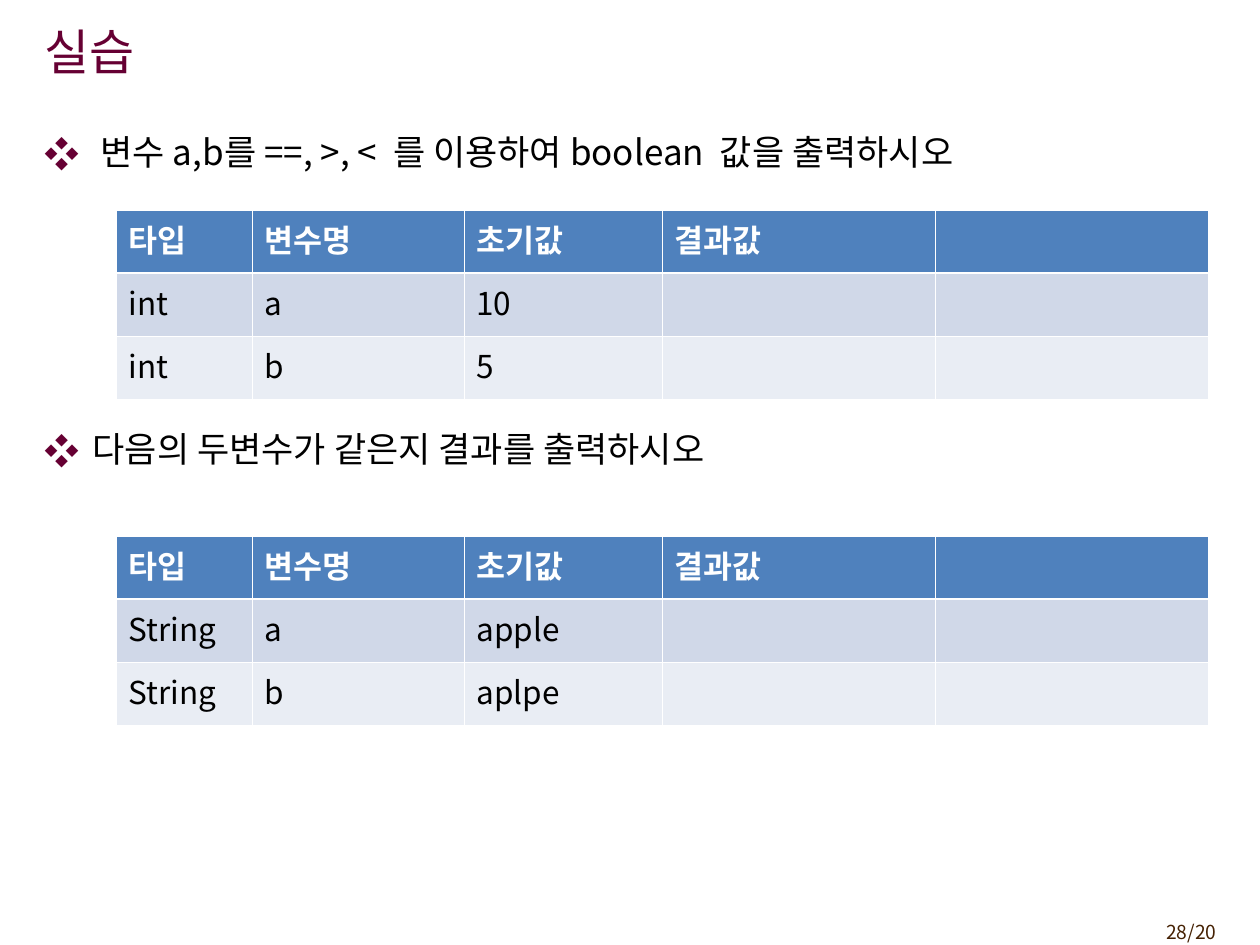
from dataclasses import dataclass

from lxml import etree
from pptx import Presentation
from pptx.dml.color import RGBColor
from pptx.enum.text import MSO_ANCHOR, MSO_AUTO_SIZE, PP_ALIGN
from pptx.oxml.ns import qn
from pptx.util import Emu, Pt

LEFT, RIGHT = PP_ALIGN.LEFT, PP_ALIGN.RIGHT
TOP, MIDDLE = MSO_ANCHOR.TOP, MSO_ANCHOR.MIDDLE
NO_AUTOFIT = MSO_AUTO_SIZE.NONE

PX_PER_INCH = 126
FONT = "Noto Sans CJK KR"
COLORS = {
    "accent": "660033",
    "text": "000000",
    "page": "452103",
    "header": "4F81BD",
    "odd_row": "D0D8E8",
    "even_row": "E9EDF4",
    "white": "FFFFFF",
}

TABLE_LEFT = 116
COLUMN_WIDTHS = (136, 212, 198, 273, 273)
ROW_HEIGHT = 63
HEADER = ("타입", "변수명", "초기값", "결과값", "")
ROW_FILLS = ("header", "odd_row", "even_row")
THIN, THICK = Pt(0.45), Pt(1.47)


@dataclass
class Bullet:
    text: str
    indent: int
    space_before: int


@dataclass
class VariableTable:
    top: int
    rows: tuple[tuple[str, ...], ...]


BULLETS = (
    Bullet("변수 a,b를 ==, >, <  를 이용하여 boolean  값을 출력하시오", 56, 0),
    Bullet("다음의 두변수가 같은지 결과를 출력하시오", 48, 148),
)
TABLES = (
    VariableTable(210, (("int", "a", "10"), ("int", "b", "5"))),
    VariableTable(536, (("String", "a", "apple"), ("String", "b", "aplpe"))),
)


def px(length: int) -> Emu:
    return Emu(round(length * 914400 / PX_PER_INCH))


def place(shape, left: int, top: int, width: int, height: int) -> None:
    shape.left, shape.top = px(left), px(top)
    shape.width, shape.height = px(width), px(height)


def style(paragraph, size: int, color: str, bold: bool = False, align=LEFT) -> None:
    paragraph.alignment = align
    font = paragraph.font
    font.name, font.size, font.bold = FONT, Pt(size), bold
    font.color.rgb = RGBColor.from_string(COLORS[color])
    # Korean text takes the East Asian typeface
    properties = paragraph._p.get_or_add_pPr().find(qn("a:defRPr"))
    etree.SubElement(properties, qn("a:ea"), typeface=FONT)


def add_bullet_mark(paragraph, indent: int) -> None:
    properties = paragraph._p.get_or_add_pPr()
    properties.set("marL", str(px(indent)))
    properties.set("indent", str(-px(indent)))
    color = etree.SubElement(properties, qn("a:buClr"))
    etree.SubElement(color, qn("a:srgbClr"), val=COLORS["accent"])
    etree.SubElement(properties, qn("a:buFont"), typeface=FONT)
    etree.SubElement(properties, qn("a:buChar"), char="❖")


def add_borders(cell, top: Emu, bottom: Emu) -> None:
    properties = cell._tc.get_or_add_tcPr()
    for side, width in (("L", THIN), ("R", THIN), ("T", top), ("B", bottom)):
        line = etree.SubElement(properties, qn(f"a:ln{side}"), w=str(width))
        fill = etree.SubElement(line, qn("a:solidFill"))
        etree.SubElement(fill, qn("a:srgbClr"), val=COLORS["white"])


def add_variable_table(slide, spec_table: VariableTable) -> None:
    rows = (HEADER, *spec_table.rows)
    table = slide.shapes.add_table(
        len(rows), len(COLUMN_WIDTHS), px(TABLE_LEFT), px(spec_table.top),
        px(sum(COLUMN_WIDTHS)), px(ROW_HEIGHT * len(rows)),
    ).table
    for column, width in zip(table.columns, COLUMN_WIDTHS):
        column.width = px(width)
    for row_index, texts in enumerate(rows):
        table.rows[row_index].height = px(ROW_HEIGHT)
        is_header = row_index == 0
        for column_index in range(len(COLUMN_WIDTHS)):
            cell = table.cell(row_index, column_index)
            add_borders(cell, THICK if row_index == 1 else THIN,
                        THICK if is_header else THIN)
            cell.fill.solid()
            cell.fill.fore_color.rgb = RGBColor.from_string(COLORS[ROW_FILLS[row_index]])
            if column_index < len(texts) and texts[column_index]:
                cell.text = texts[column_index]
                style(cell.text_frame.paragraphs[0], 18,
                      "white" if is_header else "text", bold=is_header)


def main() -> None:
    presentation = Presentation()
    presentation.slide_width, presentation.slide_height = px(1260), px(945)
    slide = presentation.slides.add_slide(presentation.slide_layouts[1])

    # Title
    title = slide.shapes.title
    place(title, 32, 11, 1042, 79)
    title.text_frame.text = "실습"
    title.text_frame.vertical_anchor = MIDDLE
    title.text_frame.auto_size = NO_AUTOFIT
    style(title.text_frame.paragraphs[0], 28, "accent")

    # Exercise list
    body = slide.placeholders[1]
    place(body, 32, 129, 1197, 788)
    frame = body.text_frame
    frame.auto_size, frame.vertical_anchor = NO_AUTOFIT, TOP
    frame.text = "\n".join(bullet.text for bullet in BULLETS)
    for paragraph, bullet in zip(frame.paragraphs, BULLETS):
        add_bullet_mark(paragraph, bullet.indent)
        paragraph.line_spacing = 0.9
        paragraph.space_before = Pt(bullet.space_before)
        style(paragraph, 20, "text")

    # Variable tables
    for variable_table in TABLES:
        add_variable_table(slide, variable_table)

    # Page number
    page = slide.shapes.add_textbox(px(1124), px(914), px(105), px(37))
    page.text_frame.word_wrap = True
    page.text_frame.text = "28/20"
    style(page.text_frame.paragraphs[0], 11, "page", align=RIGHT)

    presentation.save("out.pptx")


if __name__ == "__main__":
    main()
